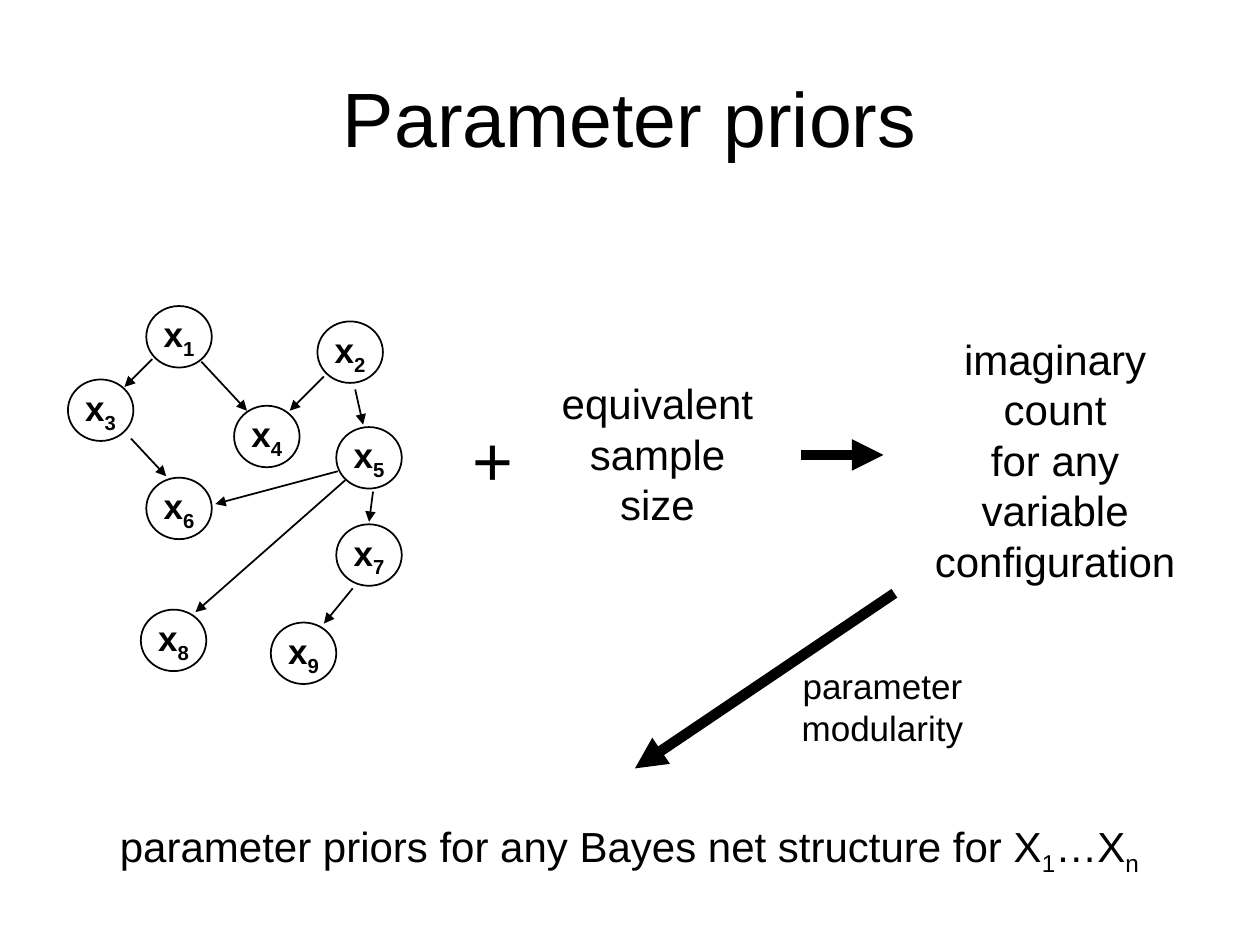
import pptx
import pptx.util
import pptx.dml.color
import pptx.enum.shapes
import pptx.enum.text
import lxml.etree

Cm = pptx.util.Cm
Pt = pptx.util.Pt
ALIGN = pptx.enum.text.PP_ALIGN
ANCHOR = pptx.enum.text.MSO_ANCHOR
hues = {"ink": "000000", "fill": "FFFFFF"}
tones = {name: pptx.dml.color.RGBColor.from_string(code) for name, code in hues.items()}

deck = pptx.Presentation()
deck.slide_width, deck.slide_height = Cm(25.4), Cm(19.05)
slide = deck.slides.add_slide(deck.slide_layouts[6])


def write(frame, lines, size, bold=False, align=ALIGN.CENTER, anchor=ANCHOR.TOP):
    frame.word_wrap = False
    frame.vertical_anchor = anchor
    for row, parts in enumerate(lines):
        para = frame.add_paragraph() if row else frame.paragraphs[0]
        para.alignment = align
        for spot, part in enumerate(parts):
            run = para.add_run()
            run.text = part
            run.font.name = "Arial"
            run.font.size = Pt(size)
            run.font.bold = bold
            run.font.color.rgb = tones["ink"]
            if spot % 2:
                run._r.get_or_add_rPr().set("baseline", "-25000")


def arrow(shapes, ends, width):
    line = shapes.add_connector(
        pptx.enum.shapes.MSO_CONNECTOR.STRAIGHT, *[Cm(end) for end in ends])
    line.line.color.rgb = tones["ink"]
    line.line.width = Pt(width)
    tag = pptx.oxml.ns.qn
    lxml.etree.SubElement(line.line._get_or_add_ln(), tag("a:tailEnd"), type="triangle")
    lxml.etree.SubElement(line._element.spPr, tag("a:effectLst"))


title = slide.shapes.add_textbox(Cm(1.27), Cm(0.76), Cm(22.86), Cm(3.18))
write(title.text_frame, [["Parameter priors"]], 44, anchor=ANCHOR.MIDDLE)

net = slide.shapes.add_group_shape().shapes
nodes = {
    "1": (2.95, 6.17), "2": (6.4, 6.48), "3": (1.37, 7.65),
    "4": (4.72, 8.18), "5": (6.78, 8.61), "6": (2.95, 9.63),
    "7": (6.78, 10.57), "8": (2.84, 12.29), "9": (5.46, 12.55),
}
for name, (left, top) in nodes.items():
    node = net.add_shape(
        pptx.enum.shapes.MSO_SHAPE.OVAL, Cm(left), Cm(top), Cm(1.32), Cm(1.24))
    node.shadow.inherit = False
    node.fill.solid()
    node.fill.fore_color.rgb = tones["fill"]
    node.line.color.rgb = tones["ink"]
    node.line.width = Pt(1)
    write(node.text_frame, [["x", name]], 20, bold=True, anchor=ANCHOR.MIDDLE)

edges = [
    (3.07, 7.24, 2.51, 7.8),
    (4.06, 7.29, 4.98, 8.28),
    (6.53, 7.59, 5.84, 8.28),
    (7.16, 7.85, 7.32, 8.56),
    (2.64, 8.84, 3.35, 9.6),
    (6.81, 9.5, 4.34, 10.16),
    (6.96, 9.68, 3.94, 12.34),
    (7.52, 9.91, 7.44, 10.52),
    (7.11, 11.86, 6.53, 12.57),
]
for edge in edges:
    arrow(net, edge, 1)

for step in [(16.15, 9.17, 17.81, 9.17), (18.03, 11.96, 12.8, 15.49)]:
    arrow(slide.shapes, step, 6)

labels = [
    ((9.27, 8.28, 1.32, 1.96), 40, ALIGN.LEFT, [["+"]]),
    ((11.07, 7.49, 4.37, 3.3), 24, ALIGN.CENTER,
     [["equivalent"], ["sample"], ["size"]]),
    ((18.59, 6.6, 5.36, 5.33), 24, ALIGN.CENTER,
     [["imaginary"], ["count"], ["for any"], ["variable"], ["configuration"]]),
    ((15.84, 13.28, 3.9, 1.96), 20, ALIGN.CENTER,
     [["parameter"], ["modularity"]]),
    ((2.16, 16.41, 21.06, 1.42), 24, ALIGN.CENTER,
     [["parameter priors for any Bayes net structure for X", "1", "…X", "n"]]),
]
for place, size, align, lines in labels:
    label = slide.shapes.add_textbox(*[Cm(side) for side in place])
    write(label.text_frame, lines, size, align=align)
    label.text_frame.auto_size = pptx.enum.text.MSO_AUTO_SIZE.SHAPE_TO_FIT_TEXT

deck.save("out.pptx")
